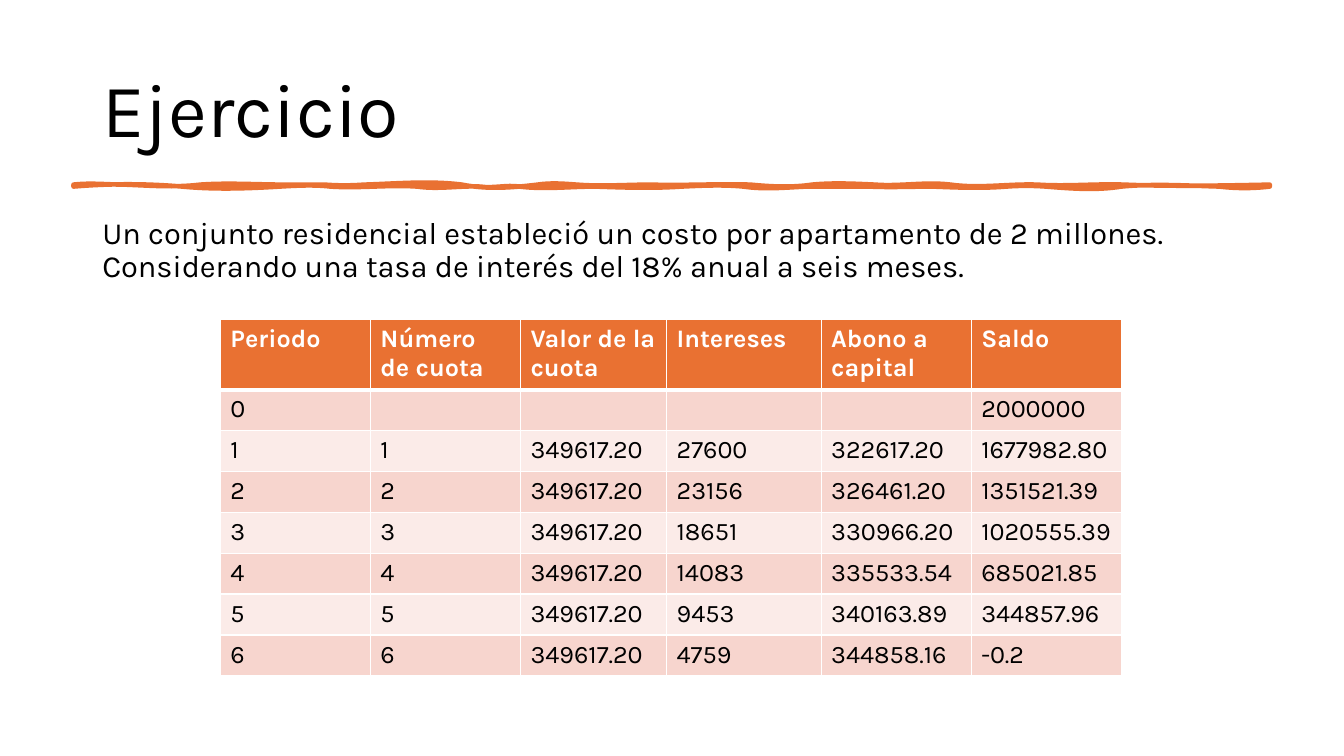
from lxml import etree
from pptx import Presentation
from pptx.dml.color import RGBColor
from pptx.enum import text
from pptx.oxml.ns import qn
from pptx.util import Pt

TITLE = "Ejercicio"
STATEMENT = (
    "Un conjunto residencial estableció un costo por apartamento de 2 millones. "
    "Considerando una tasa de interés del 18% anual a seis meses."
)
HEADERS = ["Periodo", "Número de cuota", "Valor de la cuota",
           "Intereses", "Abono a capital", "Saldo"]
FEE = "349617.20"
PAYMENTS = [
    ("27600", "322617.20", "1677982.80"),
    ("23156", "326461.20", "1351521.39"),
    ("18651", "330966.20", "1020555.39"),
    ("14083", "335533.54", "685021.85"),
    ("9453", "340163.89", "344857.96"),
    ("4759", "344858.16", "-0.2"),
]
ROWS = [HEADERS, ["0", "", "", "", "", "2000000"]] + [
    [str(period), str(period), FEE, *payment]
    for period, payment in enumerate(PAYMENTS, 1)
]

FONT = "Karla"
COLORS = {"accent": "E97132", "dark_band": "F7D5CE", "light_band": "FBEBE8",
          "text": "000000", "white": "FFFFFF"}
COLUMN_WIDTHS = [107.2, 107.2, 104.4, 110.4, 107.2, 107.2]
HEADER_HEIGHT, ROW_HEIGHT = 48, 29.2
TABLE_LEFT, TABLE_TOP = 157.4, 227.9
MARGIN, CONTENT_WIDTH = 66, 828

STROKE_LEFT = 52.5
TOP_EDGE_Y, BOTTOM_EDGE_Y = 131.9, 133.3
# Each wave: end x, first bend, second bend
TOP_WAVES = [
    (89, -1.4, 0), (143, 0.7, 2.2), (204, -1.4, 0), (232, 0, 0),
    (260, 0.7, 0.7), (330, -0.7, -2.9), (384, 3.6, 2.2), (412, -1.4, -0.7),
    (465, 1.4, 0), (536, 0.7, -0.7), (580, 1.4, 2.2), (625, -1.4, -0.7),
    (679, 1.4, -2.2), (741, 2.9, -0.7), (803, 1.4, -0.7), (907, 1.4, 0.7),
]
BOTTOM_WAVES = [
    (871, 1.4, 1.4), (801, -0.7, -2.2), (747, 2.9, 1.4), (719, -0.7, -0.7),
    (666, 1.4, 0.7), (621, 0, 0.7), (576, 0, 0), (531, 0.7, 2.2),
    (487, -1.4, -0.7), (425, 1.4, 0.7), (371, 0, 2.2), (343, -1.4, 1.4),
    (298, -0.7, 2.2), (236, -1.4, 1.4), (200, -1.4, -0.7), (130, 1.4, 2.2),
    (STROKE_LEFT, -2.2, -2.2),
]


def color(name):
    return RGBColor.from_string(COLORS[name])


def write(frame, content, size, ink="text", bold=False):
    para = frame.paragraphs[0]
    para.alignment = text.PP_ALIGN.LEFT
    if content:
        span = para.add_run()
        span.text = content
        span.font.name = FONT
        span.font.size = Pt(size)
        span.font.bold = bold
        span.font.color.rgb = color(ink)
    return para


def edge(start, baseline, waves):
    points = []
    for end, first, second in waves:
        third = (end - start) / 3
        points += [(Pt(start + third), Pt(baseline + first)),
                   (Pt(end - third), Pt(baseline + second)),
                   (Pt(end), Pt(baseline))]
        start = end
    return points


def round_segments(shape):
    lines = list(shape._element.iter(qn("a:lnTo")))
    for index in range(0, len(lines) // 3 * 3, 3):
        first, second, end = lines[index:index + 3]
        first.tag = qn("a:cubicBezTo")
        for line in (second, end):
            first.append(line[0])
            line.getparent().remove(line)


def add_brush_stroke(page):
    right = TOP_WAVES[-1][0]
    corner = (Pt(right), Pt(BOTTOM_EDGE_Y))
    builder = page.shapes.build_freeform(Pt(STROKE_LEFT), Pt(TOP_EDGE_Y))
    builder.add_line_segments(
        edge(STROKE_LEFT, TOP_EDGE_Y, TOP_WAVES) + [corner] * 3
        + edge(right, BOTTOM_EDGE_Y, BOTTOM_WAVES), close=True)
    stroke = builder.convert_to_shape()
    round_segments(stroke)
    stroke.shadow.inherit = False
    stroke.fill.solid()
    stroke.fill.fore_color.rgb = color("accent")
    stroke.line.color.rgb = color("accent")
    stroke.line.width = Pt(3.25)


def add_border(cell, side, width):
    properties = cell._tc.get_or_add_tcPr()
    line = etree.SubElement(properties, qn(f"a:ln{side}"), w=str(Pt(width)))
    fill = etree.SubElement(line, qn("a:solidFill"))
    etree.SubElement(fill, qn("a:srgbClr"), val=COLORS["white"])


def add_payment_table(page):
    height = HEADER_HEIGHT + ROW_HEIGHT * (len(ROWS) - 1)
    table = page.shapes.add_table(
        len(ROWS), len(HEADERS), Pt(TABLE_LEFT), Pt(TABLE_TOP),
        Pt(sum(COLUMN_WIDTHS)), Pt(height)).table
    for column, width in zip(table.columns, COLUMN_WIDTHS):
        column.width = Pt(width)
    for r, values in enumerate(ROWS):
        header = r == 0
        table.rows[r].height = Pt(HEADER_HEIGHT if header else ROW_HEIGHT)
        band = "accent" if header else "dark_band" if r % 2 else "light_band"
        for c, value in enumerate(values):
            cell = table.cell(r, c)
            for side in "LRTB":
                add_border(cell, side, 3 if header and side == "B" else 1)
            cell.fill.solid()
            cell.fill.fore_color.rgb = color(band)
            write(cell.text_frame, value, 18, "white" if header else "text", header)


def main():
    deck = Presentation()
    deck.slide_width, deck.slide_height = Pt(960), Pt(540)
    page = deck.slides.add_slide(deck.slide_layouts[5])

    title = page.shapes.title
    title.left, title.top = Pt(MARGIN), Pt(28.8)
    title.width, title.height = Pt(CONTENT_WIDTH), Pt(104.4)
    title.text_frame.vertical_anchor = text.MSO_ANCHOR.MIDDLE
    write(title.text_frame, TITLE, 54).line_spacing = 0.9

    add_brush_stroke(page)

    box = page.shapes.add_textbox(Pt(MARGIN), Pt(152), Pt(CONTENT_WIDTH), Pt(335))
    box.text_frame.word_wrap = True
    para = write(box.text_frame, STATEMENT, 22)
    para.line_spacing = 0.9
    para.space_before = Pt(10)

    add_payment_table(page)
    deck.save("out.pptx")


if __name__ == "__main__":
    main()
